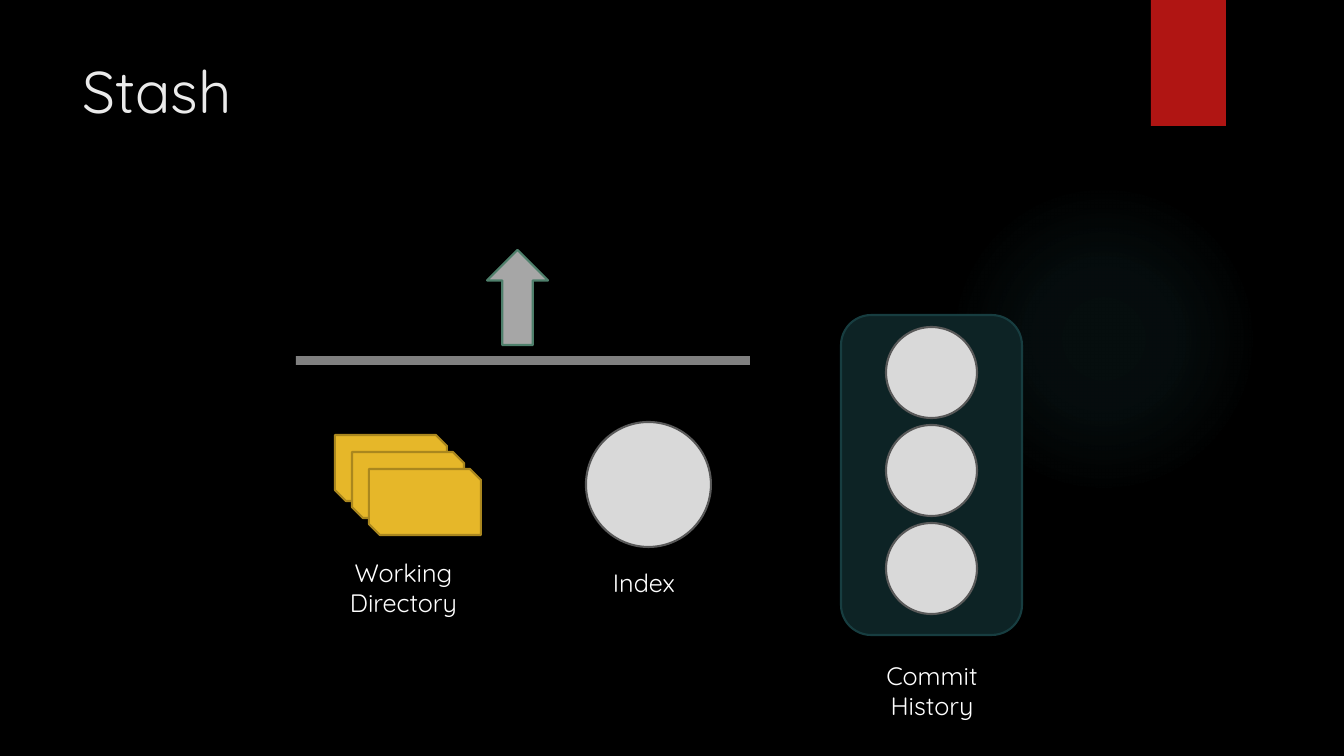
import dataclasses

import pptx
import pptx.dml.color
import pptx.enum.shapes
import pptx.enum.text
import pptx.oxml
import pptx.oxml.ns
import pptx.util

SHAPE = pptx.enum.shapes.MSO_SHAPE
ALIGN = pptx.enum.text.PP_ALIGN
EMU_PER_PX = 914400 / 100.8


@dataclasses.dataclass(frozen=True)
class Theme:
    """Colours, font and type sizes of the deck."""

    font: str = "Quicksand"
    title_size: int = 42
    label_size: int = 18
    outline: float = 1.5
    background: str = "000000"
    title: str = "EBEBEB"
    label: str = "FFFFFF"
    tab: str = "B01513"
    glow: str = "50B9C1"
    folder: str = "E6B729"
    folder_edge: str = "AA871E"
    commit: str = "D9D9D9"
    commit_edge: str = "595959"
    history: str = "0D2325"
    history_edge: str = "173D40"
    bar: str = "808080"
    arrow: str = "A6A6A6"
    arrow_edge: str = "4E7F6B"


THEME = Theme()


def px(length):
    """Turn a length in px into EMU."""
    return pptx.util.Emu(round(length * EMU_PER_PX))


def rgb(colour):
    """Turn a hex string into a colour."""
    return pptx.dml.color.RGBColor.from_string(colour)


def place(shapes, kind, box, fill, edge=None):
    """Add a flat preset shape in a px box."""
    shape = shapes.add_shape(kind, *map(px, box))
    shape.shadow.inherit = False
    shape.fill.solid()
    shape.fill.fore_color.rgb = rgb(fill)
    if edge:
        shape.line.color.rgb = rgb(edge)
        shape.line.width = pptx.util.Pt(THEME.outline)
    else:
        shape.line.fill.background()
    return shape


def style_text(frame, size, colour, align):
    """Format every paragraph and run of a text frame."""
    for paragraph in frame.paragraphs:
        paragraph.alignment = align
        for run in paragraph.runs:
            run.font.name = THEME.font
            run.font.size = pptx.util.Pt(size)
            run.font.color.rgb = rgb(colour)


def add_label(shapes, box, text, align=ALIGN.CENTER):
    """Add the caption of a region."""
    frame = shapes.add_textbox(*map(px, box)).text_frame
    frame.word_wrap = True
    frame.text = text
    style_text(frame, THEME.label_size, THEME.label, align)


def add_glow(shapes, box):
    """Add the faint round light of the backdrop."""
    glow = place(shapes, SHAPE.OVAL, box, THEME.glow)
    stops = "".join(
        f'<a:gs pos="{position}000"><a:srgbClr val="{THEME.glow}">'
        f'<a:alpha val="{alpha}000"/></a:srgbClr></a:gs>'
        for position, alpha in ((0, 7), (36, 6), (69, 0), (100, 0))
    )
    gradient = pptx.oxml.parse_xml(
        f'<a:gradFill {pptx.oxml.ns.nsdecls("a")} rotWithShape="1">'
        f'<a:gsLst>{stops}</a:gsLst><a:path path="circle">'
        '<a:fillToRect l="50000" t="50000" r="50000" b="50000"/>'
        "</a:path></a:gradFill>"
    )
    properties = glow._element.spPr
    solid = properties.find(pptx.oxml.ns.qn("a:solidFill"))
    properties.replace(solid, gradient)


def add_title(slide, box, text):
    """Fill and move the title placeholder."""
    title = slide.shapes.title
    title.left, title.top, title.width, title.height = map(px, box)
    frame = title.text_frame
    frame.text = text
    frame.vertical_anchor = pptx.enum.text.MSO_ANCHOR.TOP
    style_text(frame, THEME.title_size, THEME.title, ALIGN.LEFT)


def add_working_directory(slide, left, top):
    """Add the cascade of folders and its caption."""
    shapes = slide.shapes.add_group_shape().shapes
    cascade_step = 17
    for index in range(3):
        offset = index * cascade_step
        place(shapes, SHAPE.SNIP_2_DIAG_RECTANGLE,
              (left + offset, top + offset, 112, 66),
              THEME.folder, THEME.folder_edge)
    add_label(shapes, (left - 9, top + 117, 155, 72), "Working\nDirectory")


def add_index(slide, left, top):
    """Add the index circle and its caption."""
    shapes = slide.shapes.add_group_shape().shapes
    place(shapes, SHAPE.OVAL, (left, top, 125, 125),
          THEME.commit, THEME.commit_edge)
    add_label(shapes, (left + 17, top + 140, 96, 40), "Index", ALIGN.LEFT)


def add_commit_history(slide, left, top, width, height):
    """Add the panel of stacked commits and its caption."""
    shapes = slide.shapes.add_group_shape().shapes
    place(shapes, SHAPE.ROUNDED_RECTANGLE, (left, top, width, height),
          THEME.history, THEME.history_edge)
    diameter = 91
    for index in range(3):
        place(shapes, SHAPE.OVAL,
              (left + (width - diameter) // 2, top + 12 + index * 98,
               diameter, diameter),
              THEME.commit, THEME.commit_edge)
    add_label(shapes, (left + 26, top + height + 20, 130, 72),
              "Commit\nHistory")


def add_stash_lift(slide, left, top, width, height):
    """Add the bar and the arrow that lifts work into the stash."""
    bar_height = 9
    place(slide.shapes, SHAPE.RECTANGLE,
          (left, top + height - bar_height, width, bar_height), THEME.bar)
    place(slide.shapes, SHAPE.UP_ARROW, (left + 191, top, 61, 95),
          THEME.arrow, THEME.arrow_edge)


def build_stash_slide(deck):
    """Lay out the stash slide."""
    slide = deck.slides.add_slide(deck.slide_layouts[5])
    slide.background.fill.solid()
    slide.background.fill.fore_color.rgb = rgb(THEME.background)
    add_glow(slide.shapes, (949, 184, 310, 310))
    place(slide.shapes, SHAPE.RECTANGLE, (1151, 0, 75, 126), THEME.tab)
    add_title(slide, (72, 50, 1037, 154), "Stash")
    add_working_directory(slide, 335, 435)
    add_index(slide, 586, 422)
    add_commit_history(slide, 841, 315, 181, 320)
    add_stash_lift(slide, 296, 250, 454, 115)


def main():
    """Build and save the deck."""
    deck = pptx.Presentation()
    deck.slide_width, deck.slide_height = px(1344), px(756)
    build_stash_slide(deck)
    deck.save("out.pptx")


if __name__ == "__main__":
    main()
